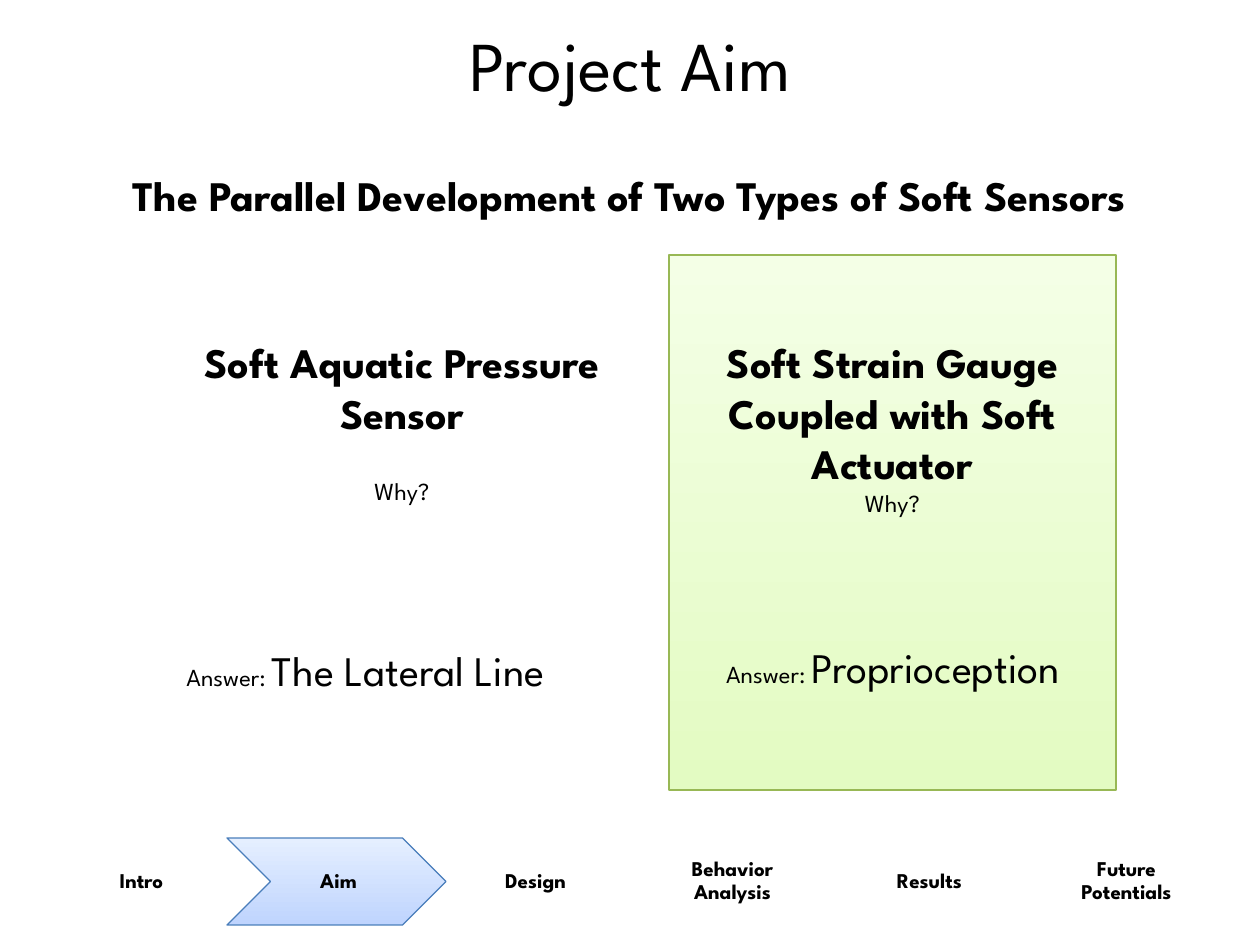
from dataclasses import dataclass
from typing import Optional

from pptx import Presentation
from pptx.dml.color import RGBColor
from pptx.enum.shapes import MSO_SHAPE as Preset
from pptx.enum.text import MSO_ANCHOR as Anchor, PP_ALIGN as Align
from pptx.util import Emu, Pt

EMU_PER_PX = 914400 / 126


@dataclass(frozen=True)
class Theme:
    font: str = "League Spartan"
    text: str = "000000"
    background: str = "FFFFFF"
    blue: tuple = ("BFD4FE", "E5EFFF", "4A7EBB")  # bottom, top, outline
    green: tuple = ("E3FBC2", "F4FFE6", "98B855")
    title: int = 40
    heading: int = 24
    body: int = 14
    step: int = 12
    outline: float = 0.75


@dataclass(frozen=True)
class Box:
    left: int
    top: int
    width: int
    height: int


@dataclass(frozen=True)
class Sensor:
    heading: str
    answer: str
    box: Box
    answer_box: Box
    answer_align: Align
    why_gap: float
    accent: Optional[tuple] = None


THEME = Theme()

SENSORS = [
    Sensor("Soft Aquatic Pressure Sensor", "The Lateral Line",
           Box(184, 255, 436, 535), Box(174, 638, 496, 101), Align.LEFT, 21.6),
    Sensor("Soft Strain Gauge Coupled with Soft Actuator", "Proprioception",
           Box(669, 255, 447, 535), Box(645, 635, 496, 101), Align.CENTER, 0,
           THEME.green),
]

STEPS = ["Intro", "Aim", "Design", "Behavior Analysis", "Results", "Future Potentials"]
CURRENT_STEP = "Aim"
FIRST_STEP = Box(30, 838, 219, 87)
STEP_PITCH = 197


def px(value: float) -> Emu:
    return Emu(round(value * EMU_PER_PX))


def place(box: Box) -> tuple:
    return px(box.left), px(box.top), px(box.width), px(box.height)


def set_margins(frame, left: int, top: int, right: int, bottom: int) -> None:
    frame.margin_left, frame.margin_top = px(left), px(top)
    frame.margin_right, frame.margin_bottom = px(right), px(bottom)


def style_run(run, size: int, bold: bool = False) -> None:
    run.font.name = THEME.font
    run.font.size = Pt(size)
    run.font.bold = bold
    run.font.color.rgb = RGBColor.from_string(THEME.text)


def style_paragraph(paragraph, size: int, bold: bool = False,
                    align: Align = Align.CENTER) -> None:
    paragraph.alignment = align
    for run in paragraph.runs:
        style_run(run, size, bold)


def add_text_box(slide, box: Box):
    shape = slide.shapes.add_textbox(*place(box))
    shape.text_frame.word_wrap = True
    return shape


def add_preset(slide, preset: Preset, box: Box, accent: Optional[tuple]):
    """Add a shape with an accent gradient, or plain background fill."""
    shape = slide.shapes.add_shape(preset, *place(box))
    shape.shadow.inherit = False
    if accent:
        bottom, top, outline = accent
        shape.fill.gradient()
        shape.fill.gradient_angle = 90
        for stop, color, position in zip(shape.fill.gradient_stops, (bottom, top), (0, 1)):
            stop.color.rgb = RGBColor.from_string(color)
            stop.position = position
        shape.line.color.rgb = RGBColor.from_string(outline)
        shape.line.width = Pt(THEME.outline)
    else:
        shape.fill.solid()
        shape.fill.fore_color.rgb = RGBColor.from_string(THEME.background)
        shape.line.fill.background()
    shape.text_frame.word_wrap = True
    return shape


def add_title(slide, text: str) -> None:
    title = slide.shapes.title
    title.left, title.top, title.width, title.height = place(Box(63, 0, 1134, 127))
    title.text_frame.text = text
    title.text_frame.vertical_anchor = Anchor.MIDDLE
    style_paragraph(title.text_frame.paragraphs[0], THEME.title)


def add_subtitle(slide, text: str) -> None:
    frame = add_text_box(slide, Box(54, 165, 1150, 59)).text_frame
    frame.text = text
    frame.vertical_anchor = Anchor.MIDDLE
    style_paragraph(frame.paragraphs[0], THEME.heading, bold=True)


def add_step(slide, index: int, label: str) -> None:
    box = Box(FIRST_STEP.left + index * STEP_PITCH, FIRST_STEP.top,
              FIRST_STEP.width, FIRST_STEP.height)
    accent = THEME.blue if label == CURRENT_STEP else None
    frame = add_preset(slide, Preset.CHEVRON, box, accent).text_frame
    set_margins(frame, 6, 2, 2, 2)
    frame.vertical_anchor = Anchor.MIDDLE
    frame.text = label
    frame.paragraphs[0].line_spacing = 0.9
    style_paragraph(frame.paragraphs[0], THEME.step, bold=True)


def add_sensor(slide, sensor: Sensor) -> None:
    if sensor.accent:
        shape = add_preset(slide, Preset.RECTANGLE, sensor.box, sensor.accent)
    else:
        shape = add_text_box(slide, sensor.box)
    frame = shape.text_frame
    set_margins(frame, 13, 82, 13, 6)
    frame.vertical_anchor = Anchor.TOP
    frame.text = sensor.heading
    style_paragraph(frame.paragraphs[0], THEME.heading, bold=True)
    why = frame.add_paragraph()
    why.text = "Why?"
    why.space_before = Pt(sensor.why_gap)
    style_paragraph(why, THEME.body)


def add_answer(slide, sensor: Sensor) -> None:
    paragraph = add_text_box(slide, sensor.answer_box).text_frame.paragraphs[0]
    paragraph.alignment = sensor.answer_align
    for text, size in (("Answer: ", THEME.body), (sensor.answer, THEME.heading)):
        run = paragraph.add_run()
        run.text = text
        style_run(run, size)


def main() -> None:
    presentation = Presentation()
    presentation.slide_width, presentation.slide_height = px(1260), px(945)
    slide = presentation.slides.add_slide(presentation.slide_layouts[5])

    # Headings
    add_title(slide, "Project Aim")
    add_subtitle(slide, "The Parallel Development of Two Types of Soft Sensors")

    # Progress bar
    for index, label in enumerate(STEPS):
        add_step(slide, index, label)

    # Sensor columns, with the answers on top
    for sensor in SENSORS:
        add_sensor(slide, sensor)
    for sensor in SENSORS:
        add_answer(slide, sensor)

    presentation.save("out.pptx")


if __name__ == "__main__":
    main()
